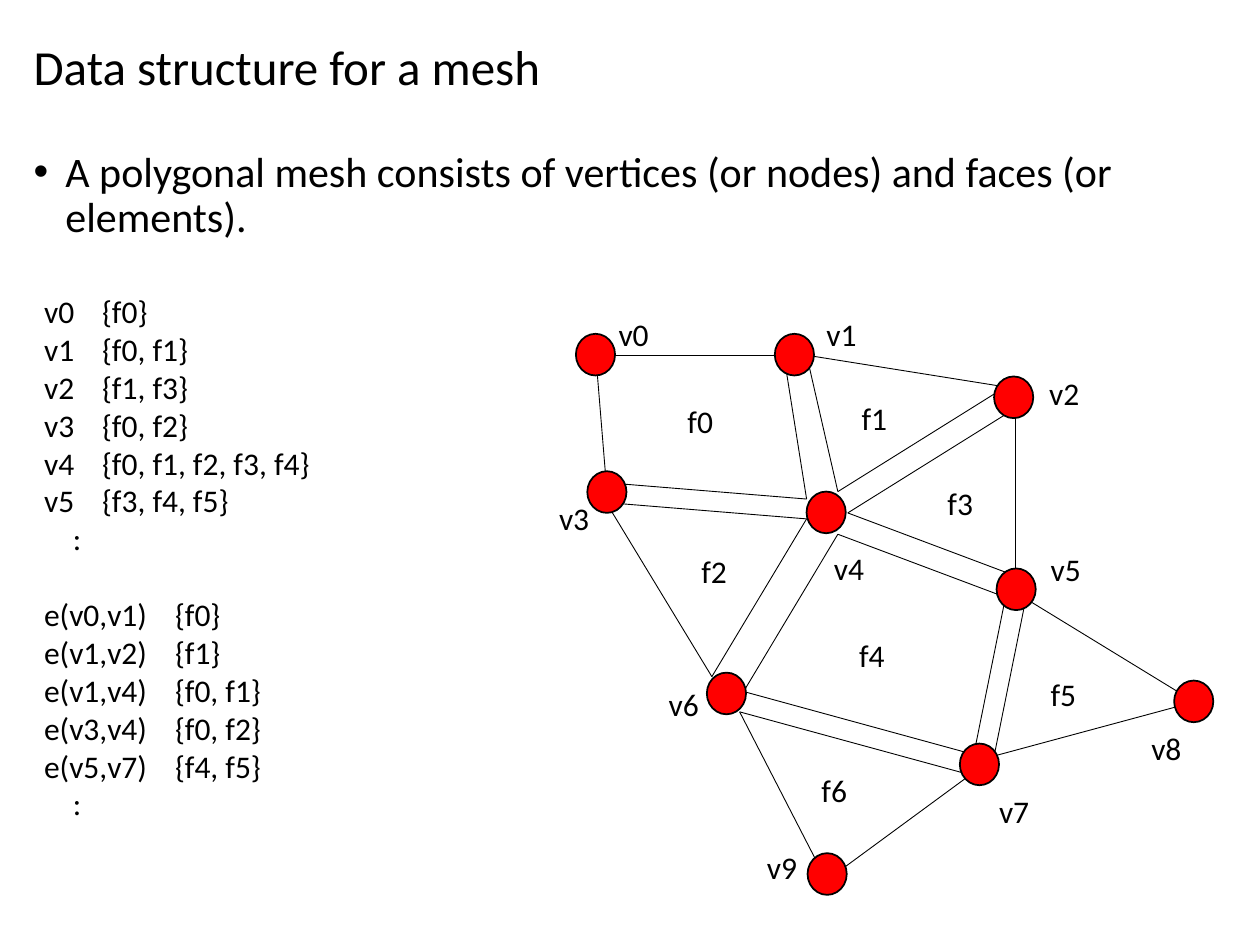
from lxml import etree
from pptx import Presentation
from pptx.dml.color import RGBColor
from pptx.enum.shapes import MSO_CONNECTOR, MSO_SHAPE
from pptx.enum.text import MSO_ANCHOR, MSO_AUTO_SIZE
from pptx.oxml.ns import qn
from pptx.util import Cm, Pt

LINE = MSO_CONNECTOR.STRAIGHT
OVAL = MSO_SHAPE.OVAL
MID, TOP = MSO_ANCHOR.MIDDLE, MSO_ANCHOR.TOP
GROW, FIXED = MSO_AUTO_SIZE.SHAPE_TO_FIT_TEXT, MSO_AUTO_SIZE.NONE
BLACK, RED = "000000", "FF0000"


def color(code):
    return RGBColor.from_string(code)


def write(left, top, width, height, lines, size=18, **style):
    box = slide.shapes.add_textbox(Cm(left), Cm(top), Cm(width), Cm(height))
    frame = box.text_frame
    frame.text = "\n".join(lines)
    base = {"word_wrap": True, "auto_size": GROW, "vertical_anchor": TOP}
    for key, value in {**base, **style}.items():
        setattr(frame, key, value)
    for para in frame.paragraphs:
        for run in para.runs:
            for key, value in {"name": "Calibri", "size": Pt(size)}.items():
                setattr(run.font, key, value)
            run.font.color.rgb = color(BLACK)
    return frame.paragraphs


deck = Presentation()
deck.slide_width, deck.slide_height = Cm(25.4), Cm(19.05)
slide = deck.slides.add_slide(deck.slide_layouts[6])

title = write(0.43, 0.38, 24.33, 2.06, ["Data structure for a mesh"], 28,
              auto_size=FIXED, vertical_anchor=MID)[0]
title.line_spacing = 0.9

body = write(0.43, 2.92, 24.33, 15.57,
             ["A polygonal mesh consists of vertices (or nodes) and faces (or elements)."],
             24, auto_size=FIXED)[0]
body.line_spacing = 0.9
body.space_before = Pt(10)
props = body._p.get_or_add_pPr()
props.set("marL", str(Cm(0.64)))
props.set("indent", str(Cm(-0.64)))
etree.SubElement(props, qn("a:buFont")).set("typeface", "Arial")
etree.SubElement(props, qn("a:buChar")).set("char", "•")

verts = ["v0\t{f0}", "v1\t{f0, f1}", "v2\t{f1, f3}", "v3\t{f0, f2}",
         "v4\t{f0, f1, f2, f3, f4}", "v5\t{f3, f4, f5}", ":"]
edges = ["e(v0,v1)\t{f0}", "e(v1,v2)\t{f1}",
         "e(v1,v4)\t{f0, f1}\ve(v3,v4)\t{f0, f2}", "e(v5,v7)\t{f4, f5}", ":"]
paras = write(0.64, 5.77, 9.73, 11.79, verts + edges)
paras[len(verts)].space_before = Pt(22)
for num, para in enumerate(paras):
    props = para._p.get_or_add_pPr()
    if para.text == ":":
        props.set("marL", str(Cm(0.58)))
        props.set("indent", "0")
    else:
        stop = 1.17 if num < len(verts) else 2.64
        tabs = etree.SubElement(props, qn("a:tabLst"))
        tab = etree.SubElement(tabs, qn("a:tab"))
        tab.set("pos", str(Cm(stop)))
        tab.set("algn", "l")

faces = [
    ("f4", (17.07, 12.7), [(16.89, 10.77), (14.99, 13.94), (19.63, 15.21), (20.27, 12.04)]),
    ("f3", (18.85, 9.63), [(17.09, 10.34), (20.47, 11.61), (20.47, 8.23)]),
    ("f2", (13.89, 11), [(16.26, 10.46), (14.35, 13.64), (12.22, 10.13)]),
    ("f5", (20.93, 13.49), [(24.08, 14.15), (20.68, 12.07), (20.04, 15.24)]),
    ("f6", (16.31, 15.42), [(14.91, 14.35), (16.66, 17.75), (19.56, 15.62)]),
    ("f1", (17.12, 7.92), [(16.26, 7.16), (16.89, 9.91), (20.27, 7.8)]),
    ("f0", (13.61, 7.98), [(12.01, 7.16), (12.22, 9.73), (16.26, 10.06), (15.8, 7.16)]),
]
nodes = [
    ("v0", (12.22, 6.22), (11.61, 6.73)),
    ("v1", (16.41, 6.22), (15.62, 6.73)),
    ("v2", (20.9, 7.42), (20.04, 7.59)),
    ("v3", (11.02, 9.93), (11.84, 9.5)),
    ("v4", (16.56, 10.95), (16.26, 9.91)),
    ("v5", (20.93, 10.97), (20.09, 11.46)),
    ("v6", (13.23, 13.69), (14.25, 13.56)),
    ("v7", (19.89, 15.85), (19.35, 14.99)),
    ("v8", (22.96, 14.58), (23.67, 13.72)),
    ("v9", (15.21, 16.97), (16.28, 17.2)),
]

for name, spot, ring in faces:
    for start, end in zip(ring, ring[1:] + ring[:1]):
        edge = slide.shapes.add_connector(LINE, *map(Cm, start + end))
        edge.line.color.rgb = color(BLACK)
        edge.line.width = Pt(0.5)
        etree.SubElement(edge._element.spPr, qn("a:effectLst"))

for name, spot, place in nodes:
    node = slide.shapes.add_shape(OVAL, *map(Cm, place + (0.79, 0.84)))
    node.shadow.inherit = False
    node.fill.solid()
    node.fill.fore_color.rgb = color(RED)
    node.line.color.rgb = color(BLACK)
    node.line.width = Pt(1)

for name, spot, rest in nodes + sorted(faces):
    write(*spot, 2.01, 1.02, [name])

deck.save("out.pptx")
